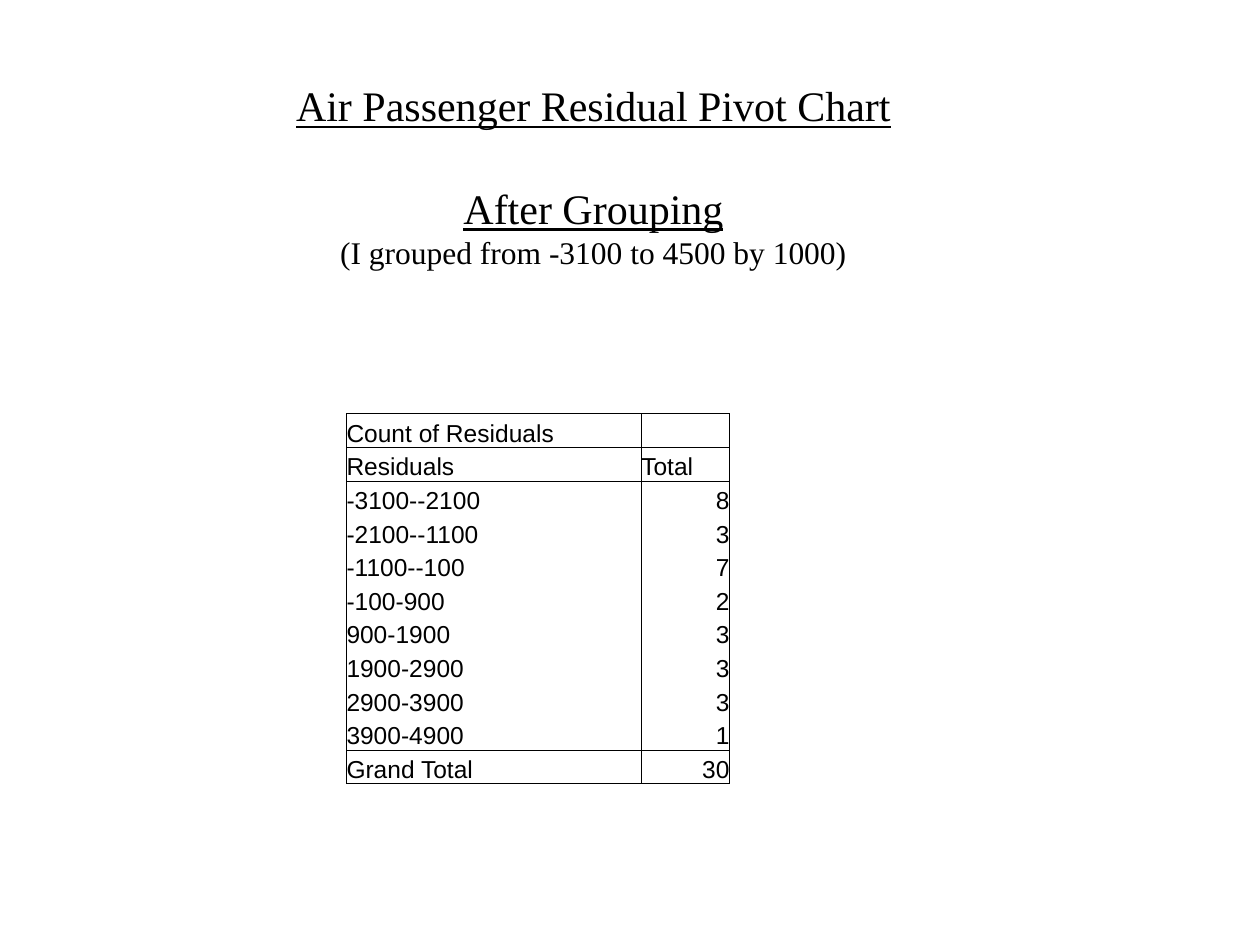
import pptx
import pptx.dml.color
import pptx.enum.text
import pptx.oxml.ns
import pptx.util
from lxml import etree

Inches, Pt = pptx.util.Inches, pptx.util.Pt
PP_ALIGN = pptx.enum.text.PP_ALIGN
ANCHOR = pptx.enum.text.MSO_ANCHOR
qn = pptx.oxml.ns.qn

BLACK = "000000"

# text, size, underlined, space before (points)
HEADING = [
    ("Air Passenger Residual Pivot Chart", 24, True, 0),
    ("After Grouping", 24, True, 30),
    ("(I grouped from -3100 to 4500 by 1000)", 18, False, 0),
]
PIVOT = [
    ("", ""),
    ("", ""),
    ("Count of Residuals", ""),
    ("Residuals", "Total"),
    ("-3100--2100", "8"),
    ("-2100--1100", "3"),
    ("-1100--100", "7"),
    ("-100-900", "2"),
    ("900-1900", "3"),
    ("1900-2900", "3"),
    ("2900-3900", "3"),
    ("3900-4900", "1"),
    ("Grand Total", "30"),
    ("", ""),
]
COL_WIDTHS = [2.34, 0.7]
ROW_HEIGHT = 3.74 / len(PIVOT)
RULES = {2, 3, 4, 12, 13}  # grid lines drawn across the table


def rgb(value):
    return pptx.dml.color.RGBColor.from_string(value)


def add_run(p, text, font, size, underline=False):
    r = p.add_run()
    r.text = text
    r.font.name = font
    r.font.size = Pt(size)
    r.font.underline = underline
    r.font.color.rgb = rgb(BLACK)


def set_border(cell, side, shown):
    tcPr = cell._tc.get_or_add_tcPr()
    ln = etree.SubElement(tcPr, qn("a:ln" + side), w=str(Pt(0.5)))
    if shown:
        fill = etree.SubElement(ln, qn("a:solidFill"))
        etree.SubElement(fill, qn("a:srgbClr"), val=BLACK)
    else:
        etree.SubElement(ln, qn("a:noFill"))


prs = pptx.Presentation()
prs.slide_width, prs.slide_height = Inches(10), Inches(7.5)
s = prs.slides.add_slide(prs.slide_layouts[6])

# Pivot table
table = s.shapes.add_table(
    len(PIVOT), len(COL_WIDTHS), Inches(2.75), Inches(2.75),
    Inches(sum(COL_WIDTHS)), Inches(ROW_HEIGHT * len(PIVOT))).table
table.first_row = table.horz_banding = False
for column, width in zip(table.columns, COL_WIDTHS):
    column.width = Inches(width)

for i, values in enumerate(PIVOT):
    table.rows[i].height = Inches(ROW_HEIGHT)
    framed = min(RULES) <= i < max(RULES)
    for j, text in enumerate(values):
        cell = table.cell(i, j)
        cell.margin_left = cell.margin_right = 0
        cell.margin_top = cell.margin_bottom = 0
        cell.vertical_anchor = ANCHOR.BOTTOM
        for side, shown in (("L", framed), ("R", framed),
                            ("T", i in RULES), ("B", i + 1 in RULES)):
            set_border(cell, side, shown)
        cell.fill.background()
        p = cell.text_frame.paragraphs[0]
        if text:
            p.alignment = PP_ALIGN.RIGHT if text.isdigit() else PP_ALIGN.LEFT
            add_run(p, text, "Arial", 14)
        else:  # keep empty rows at the common height
            etree.SubElement(p._p, qn("a:endParaRPr"), sz="1400")

# Heading
sp = s.shapes.add_textbox(Inches(1.17), Inches(0.58), Inches(7.08), Inches(1.62))
tf = sp.text_frame
tf.word_wrap = True
tf.vertical_anchor = ANCHOR.BOTTOM
for i, (text, size, underline, gap) in enumerate(HEADING):
    p = tf.add_paragraph() if i else tf.paragraphs[0]
    p.alignment = PP_ALIGN.CENTER
    if gap:
        p.space_before = Pt(gap)
    add_run(p, text, "Times New Roman", size, underline)

prs.save("out.pptx")
